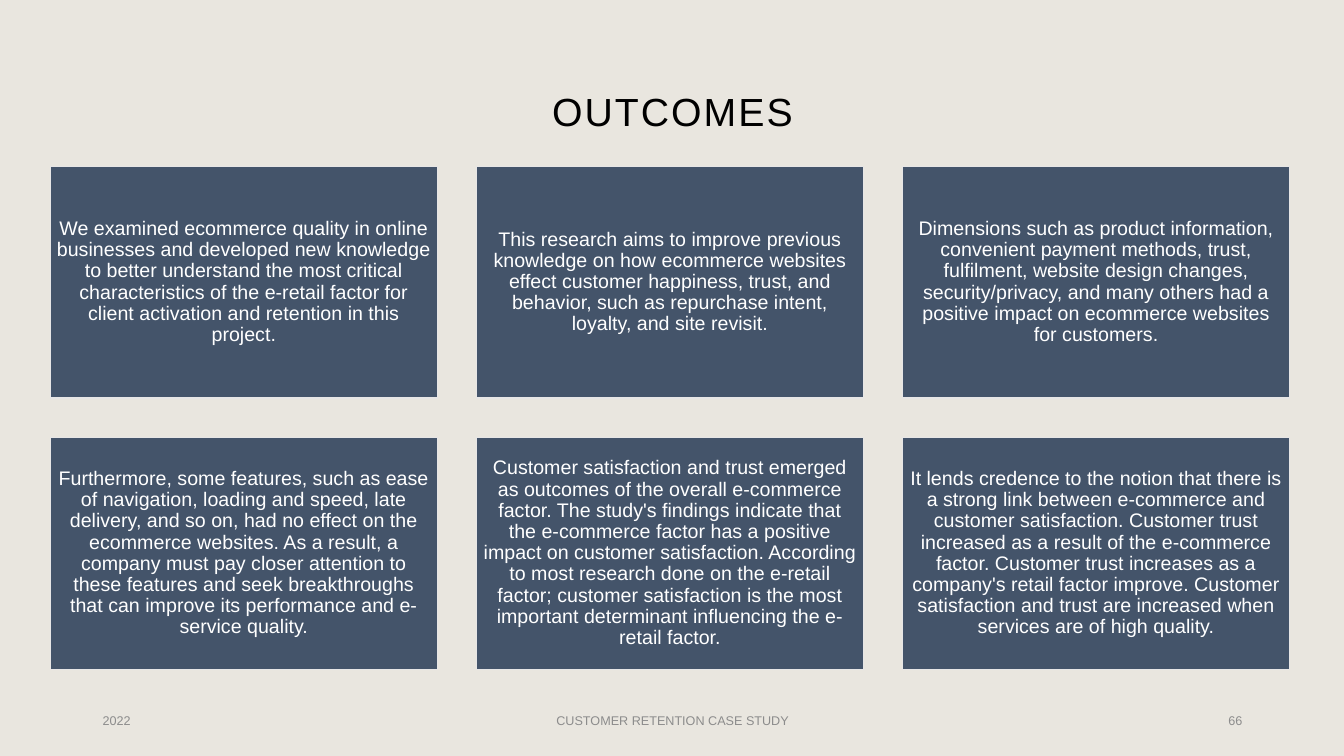
from dataclasses import dataclass

from pptx import Presentation
from pptx import util as u
from pptx.dml.color import RGBColor
from pptx.enum import shapes, text


@dataclass(frozen=True)
class Theme:
    font: str = "Arial"
    background: str = "E9E6DF"
    card: str = "44546A"
    card_edge: str = "E7E6E6"
    card_text: str = "FFFFFF"
    heading: str = "000000"
    muted: str = "8C8C8C"
    heading_size: int = 28
    card_size: int = 14
    footer_size: int = 9


THEME = Theme()
ALIGN = text.PP_ALIGN
COLUMNS, GAP = 3, 0.39

OUTCOMES = [
    "We examined ecommerce quality in online businesses and developed new knowledge to better "
    "understand the most critical characteristics of the e-retail factor for client activation "
    "and retention in this project.",
    "This research aims to improve previous knowledge on how ecommerce websites effect customer "
    "happiness, trust, and behavior, such as repurchase intent, loyalty, and site revisit.",
    "Dimensions such as product information, convenient payment methods, trust, fulfilment, "
    "website design changes, security/privacy, and many others had a positive impact on "
    "ecommerce websites for customers.",
    "Furthermore, some features, such as ease of navigation, loading and speed, late delivery, "
    "and so on, had no effect on the ecommerce websites. As a result, a company must pay closer "
    "attention to these features and seek breakthroughs that can improve its performance and "
    "e-service quality.",
    "Customer satisfaction and trust emerged as outcomes of the overall e-commerce factor. The "
    "study's findings indicate that the e-commerce factor has a positive impact on customer "
    "satisfaction. According to most research done on the e-retail factor; customer satisfaction "
    "is the most important determinant influencing the e-retail factor.",
    "It lends credence to the notion that there is a strong link between e-commerce and customer "
    "satisfaction. Customer trust increased as a result of the e-commerce factor. Customer trust "
    "increases as a company's retail factor improve. Customer satisfaction and trust are "
    "increased when services are of high quality.",
]


def inches(box):
    return [u.Inches(length) for length in box]


def write(holder, wording, size, color, align, spacing=1.0, inset=None):
    """Fill a shape with one formatted paragraph and return its run."""
    frame = holder.text_frame
    frame_format = {"word_wrap": True, "auto_size": text.MSO_AUTO_SIZE.NONE,
                    "vertical_anchor": text.MSO_ANCHOR.MIDDLE}
    if inset is not None:
        for side in ("left", "right", "top", "bottom"):
            frame_format["margin_" + side] = u.Inches(inset)
    paragraph = frame.paragraphs[0]
    run = paragraph.add_run()
    run.text = wording
    formats = [
        (frame, frame_format),
        (paragraph, {"alignment": align, "line_spacing": spacing}),
        (run.font, {"name": THEME.font, "size": u.Pt(size)}),
    ]
    for target, values in formats:
        for attribute, value in values.items():
            setattr(target, attribute, value)
    run.font.color.rgb = RGBColor.from_string(color)
    return run


def add_heading(slide, box, wording):
    heading = slide.shapes.title
    for attribute, value in zip(("left", "top", "width", "height"), inches(box)):
        setattr(heading, attribute, value)
    run = write(heading, wording, THEME.heading_size, THEME.heading, ALIGN.CENTER, 0.9)
    run.font._element.set("spc", "150")  # letter spacing of 1.5 pt


def add_card(slide, box, wording):
    card = slide.shapes.add_shape(shapes.MSO_SHAPE.RECTANGLE, *inches(box))
    card.shadow.inherit = False
    card.fill.solid()
    card.fill.fore_color.rgb = RGBColor.from_string(THEME.card)
    card.line.color.rgb = RGBColor.from_string(THEME.card_edge)
    card.line.width = u.Pt(1)
    write(card, wording, THEME.card_size, THEME.card_text, ALIGN.CENTER, 0.9, 0.06)


def add_outcome_grid(slide, box, outcomes):
    left, top, width, height = box
    rows = -(-len(outcomes) // COLUMNS)
    card_width = (width - GAP * (COLUMNS - 1)) / COLUMNS
    card_height = (height - GAP * (rows - 1)) / rows
    for index, outcome in enumerate(outcomes):
        row, column = divmod(index, COLUMNS)
        add_card(slide, (left + column * (card_width + GAP), top + row * (card_height + GAP),
                         card_width, card_height), outcome)


def add_footer(slide, box, year, study, number):
    left, top, width, height = box
    side, middle = 3, 4.5
    parts = [
        (year, left, side, ALIGN.LEFT),
        (study, left + (width - middle) / 2, middle, ALIGN.CENTER),
        (number, left + width - side, side, ALIGN.RIGHT),
    ]
    for wording, part_left, part_width, align in parts:
        part = slide.shapes.add_textbox(*inches((part_left, top, part_width, height)))
        write(part, wording, THEME.footer_size, THEME.muted, align)


def build_outcomes_slide(deck):
    slide = deck.slides.add_slide(deck.slide_layouts.get_by_name("Title Only"))
    slide.background.fill.solid()
    slide.background.fill.fore_color.rgb = RGBColor.from_string(THEME.background)

    # Heading
    add_heading(slide, (0.92, 0.4, 11.5, 1.45), "OUTCOMES")
    # Two rows of outcome cards
    add_outcome_grid(slide, (0.5, 1.65, 12.29, 4.99), OUTCOMES)
    # Footer line
    add_footer(slide, (0.92, 6.95, 11.5, 0.4), "2022", "CUSTOMER RETENTION CASE STUDY", "66")


deck = Presentation()
deck.slide_width, deck.slide_height = inches((13.33, 7.5))
build_outcomes_slide(deck)
deck.save("out.pptx")
